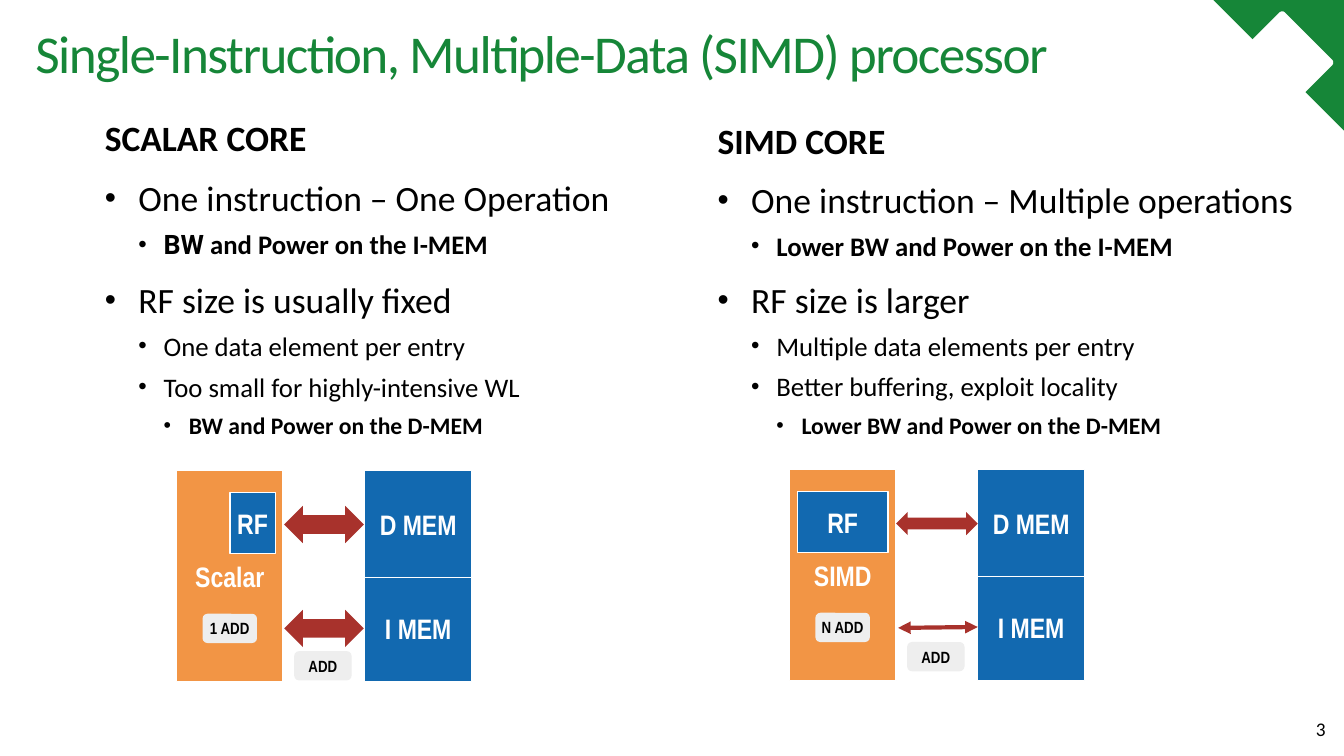
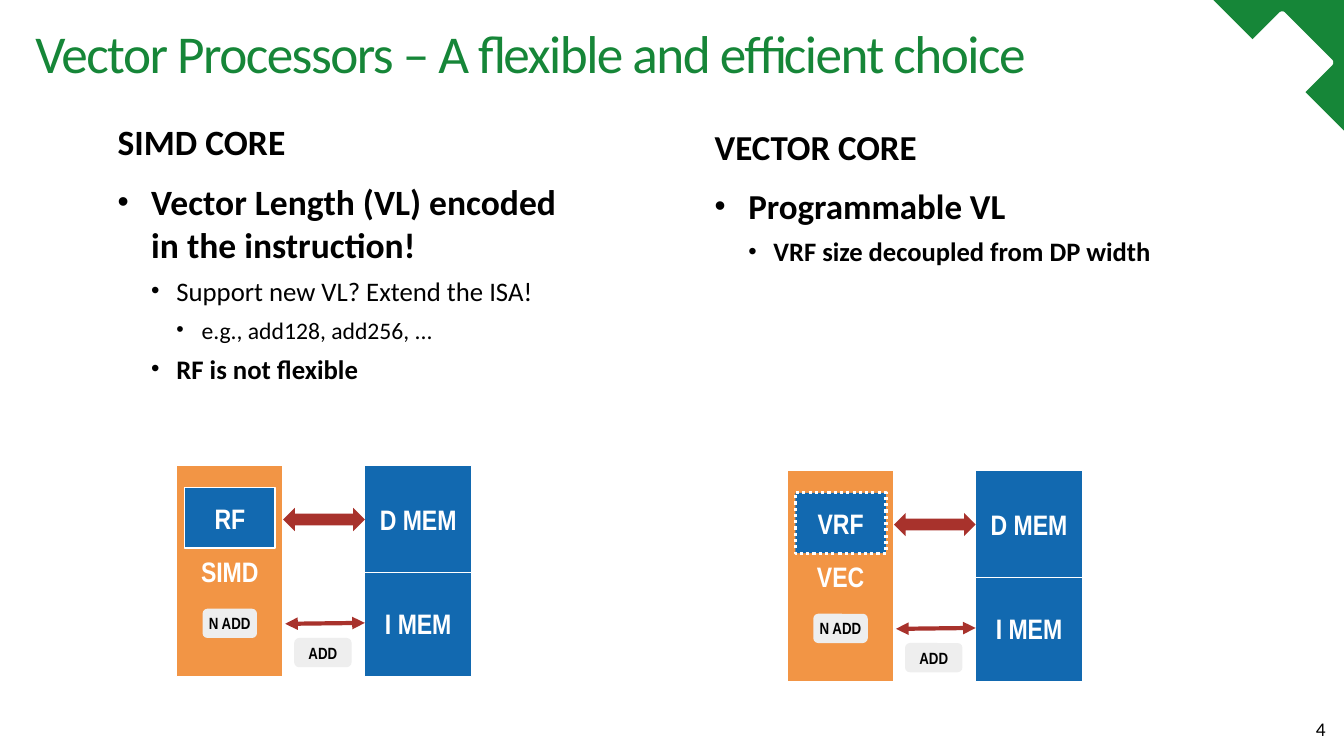
"""Builds two slides comparing scalar, SIMD and vector cores."""
from lxml.etree import SubElement
from pptx import Presentation
from pptx.dml.color import RGBColor
from pptx.enum.dml import MSO_LINE as Dash
from pptx.enum.shapes import MSO_CONNECTOR as Link, MSO_SHAPE as Form
from pptx.enum.text import MSO_ANCHOR as Anchor, MSO_AUTO_SIZE as Fit, PP_ALIGN as Align
from pptx.oxml.ns import qn
from pptx.util import Pt

GREEN = RGBColor(0x16, 0x86, 0x38)
BLUE = RGBColor(0x12, 0x69, 0xB0)
ORANGE = RGBColor(0xF2, 0x95, 0x45)
RED = RGBColor(0xA8, 0x32, 0x2C)
GREY = RGBColor(0xEE, 0xEE, 0xEE)
WHITE = RGBColor(0xFF, 0xFF, 0xFF)
BLACK = RGBColor(0, 0, 0)

TEXT_FONT, LEAD_FONT, LABEL_FONT = "Calibri", "Roboto", "Arial Narrow"
SIZES = (25.4, 19.1, 16.9)
INDENTS = ((24, -24), (42, -18), (60, -18))

MEMORY = 76.3
MEMORY_LEFT = 134.6
MEMORY_STEP = 74.2
BUS_MIDDLE = 38.5
REGISTER_MARGIN = 5.7


class Deck:
    def __init__(self):
        self.presentation = Presentation()
        self.presentation.slide_width = Pt(960)
        self.presentation.slide_height = Pt(540)
        self.slide = None

    def add_slide(self, title, number):
        layout = self.presentation.slide_layouts[5]
        self.slide = self.presentation.slides.add_slide(layout)
        self.corner()
        heading = self.slide.shapes.title
        heading.left, heading.top = Pt(25.2), Pt(14.4)
        heading.width, heading.height = Pt(840), Pt(51.8)
        frame = self.frame(heading, Anchor.MIDDLE)
        frame.auto_size = Fit.NONE
        paragraph = frame.paragraphs[0]
        paragraph.alignment = Align.LEFT
        paragraph.line_spacing = 0.9
        run = self.run(paragraph, title, 38, color=GREEN)
        run.font._element.set("spc", "-110")

        page = self.slide.shapes.add_textbox(Pt(907.2), Pt(507.6), Pt(46.8), Pt(24.5))
        page.text_frame.word_wrap = True
        page.text_frame.vertical_anchor = Anchor.BOTTOM
        paragraph = page.text_frame.paragraphs[0]
        paragraph.alignment = Align.RIGHT
        self.run(paragraph, number, 13.8)

    def corner(self):
        triangle = self.shape(Form.ISOSCELES_TRIANGLE, 866.7, 0, 93.6, 93.6, GREEN)
        triangle.rotation = 270
        triangle.adjustments[0] = 1
        for left, top, side in ((872.6, 30.2, 29.5), (889.2, 18, 53.3)):
            notch = self.shape(Form.ROUNDED_RECTANGLE, left, top, side, side, WHITE)
            notch.rotation = 45
            notch.adjustments[0] = 0.05

    def frame(self, shape, anchor, margin=0):
        frame = shape.text_frame
        frame.word_wrap = True
        frame.vertical_anchor = anchor
        frame.margin_left = frame.margin_right = 0
        frame.margin_top = frame.margin_bottom = Pt(margin)
        return frame

    def run(self, paragraph, text, size, bold=False, font=TEXT_FONT, color=BLACK):
        run = paragraph.add_run()
        run.text = text
        run.font.name = font
        run.font.size = Pt(size)
        run.font.bold = bold
        run.font.color.rgb = color
        return run

    def shape(self, form, left, top, width, height, fill):
        shape = self.slide.shapes.add_shape(form, Pt(left), Pt(top), Pt(width), Pt(height))
        shape.shadow.inherit = False
        shape.fill.solid()
        shape.fill.fore_color.rgb = fill
        shape.line.fill.background()
        return shape

    def label(self, shape, text, size, color):
        paragraph = self.frame(shape, Anchor.MIDDLE).paragraphs[0]
        paragraph.alignment = Align.CENTER
        self.run(paragraph, text, size, True, LABEL_FONT, color)

    def block(self, text, left, top, width, height, fill=BLUE):
        block = self.shape(Form.RECTANGLE, left, top, width, height, fill)
        block.line.color.rgb = WHITE
        block.line.width = Pt(1)
        self.label(block, text, 20.1, WHITE)
        return block

    def tag(self, text, left, top, width):
        tag = self.shape(Form.ROUNDED_RECTANGLE, left, top, width, 20.9, GREY)
        self.label(tag, text, 11.6, BLACK)

    def bus(self, left, middle, thickness, inset=0):
        self.shape(Form.LEFT_RIGHT_ARROW, left + MEMORY + inset, middle - thickness / 2,
                   MEMORY_LEFT - MEMORY - 2 * inset, thickness, RED)

    def thin_bus(self, memory, left, top):
        link = self.slide.shapes.add_connector(
            Link.STRAIGHT, memory.left, memory.top, Pt(left), Pt(top))
        link.begin_connect(memory, 1)
        link.line.color.rgb = RED
        link.line.width = Pt(3)
        properties = link._element.spPr
        outline = properties.find(qn("a:ln"))
        for end in ("a:headEnd", "a:tailEnd"):
            SubElement(outline, qn(end), type="triangle")
        SubElement(properties, qn("a:effectLst"))

    def core(self, left, top, name, register, operation, scalar=False, dotted=False):
        memory_left = left + MEMORY_LEFT
        instructions = self.block("I MEM", memory_left, top + MEMORY_STEP, MEMORY, MEMORY)
        self.block("D MEM", memory_left, top, MEMORY, MEMORY)
        self.block(name, left, top, MEMORY, MEMORY + MEMORY_STEP, ORANGE)
        width = 32.4 if scalar else 64.8
        file = self.block(register, left + MEMORY - REGISTER_MARGIN - width, top + 15.8,
                          width, 43.2)
        if dotted:
            file.line.width = Pt(2.25)
            file.line.dash_style = Dash.ROUND_DOT
        middle = top + BUS_MIDDLE
        if scalar:
            for step in (0, MEMORY_STEP):
                self.bus(left, middle + step, 26.6, 0.7)
        else:
            self.bus(left, middle, 16.6)
            self.thin_bus(instructions, left + MEMORY + 1.4, top + 113)
        self.tag("ADD", left + 84.2, top + (128.9 if scalar else 123.1), 41)
        self.tag(operation, left + 18.7, top + 102.2, 38.9)

    def column(self, left, top, width, height, heading, points, gap=12, sizes=SIZES):
        box = self.slide.shapes.add_textbox(Pt(left), Pt(top), Pt(width), Pt(height))
        frame = self.frame(box, Anchor.TOP, 3.6)
        self.run(frame.paragraphs[0], heading, sizes[0], True)
        for level, bold, text, *lead in points:
            paragraph = frame.add_paragraph()
            paragraph.level = level
            paragraph.space_before = Pt(gap / 2 if level else gap)
            self.bullet(paragraph, *INDENTS[level])
            for word in lead:
                self.run(paragraph, word, sizes[level], bold, LEAD_FONT)
            for index, line in enumerate(text.split("\n")):
                if index:
                    paragraph.add_line_break()
                self.run(paragraph, line, sizes[level], bold)

    def bullet(self, paragraph, margin, indent):
        properties = paragraph._p.get_or_add_pPr()
        properties.set("marL", str(Pt(margin)))
        properties.set("indent", str(Pt(indent)))
        SubElement(properties, qn("a:buSzPct"), val="90000")
        SubElement(properties, qn("a:buFont"), typeface="Arial")
        SubElement(properties, qn("a:buChar"), char="•")


def main():
    deck = Deck()

    deck.add_slide("Single-Instruction, Multiple-Data (SIMD) processor", "3")
    deck.core(563.8, 335.5, "SIMD", "RF", "N ADD")
    deck.core(126, 336.2, "Scalar", "RF", "1 ADD", scalar=True)
    deck.column(74.9, 79.2, 380, 245, "SCALAR CORE", [
        (0, False, "One instruction – One Operation"),
        (1, True, " and Power on the I-MEM", "BW"),
        (0, False, "RF size is usually fixed"),
        (1, False, "One data element per entry"),
        (1, False, "Too small for highly-intensive WL"),
        (2, True, "BW and Power on the D-MEM"),
    ], gap=12.7)
    deck.column(512.6, 81.4, 443, 270, "SIMD CORE", [
        (0, False, "One instruction – Multiple operations"),
        (1, True, "Lower BW and Power on the I-MEM"),
        (0, False, "RF size is larger"),
        (1, False, "Multiple data elements per entry"),
        (1, False, "Better buffering, exploit locality"),
        (2, True, "Lower BW and Power on the D-MEM"),
    ])

    deck.add_slide("Vector Processors – A flexible and efficient choice", "4")
    deck.core(126, 332.6, "SIMD", "RF", "N ADD")
    deck.core(562.3, 336.2, "VEC", "VRF", "N ADD", dotted=True)
    deck.column(84, 82, 361, 205, "SIMD CORE", [
        (0, True, "Vector Length (VL) encoded\nin the instruction!"),
        (1, False, "Support new VL? Extend the ISA!"),
        (2, False, "e.g., add128, add256, ..."),
        (1, True, "RF is not flexible"),
    ], gap=12.7)
    deck.column(510.5, 86.4, 334, 151, "VECTOR CORE", [
        (0, True, "Programmable VL"),
        (1, True, "VRF size decoupled from DP width"),
    ], sizes=(25, 19))

    deck.presentation.save("out.pptx")


if __name__ == "__main__":
    main()
